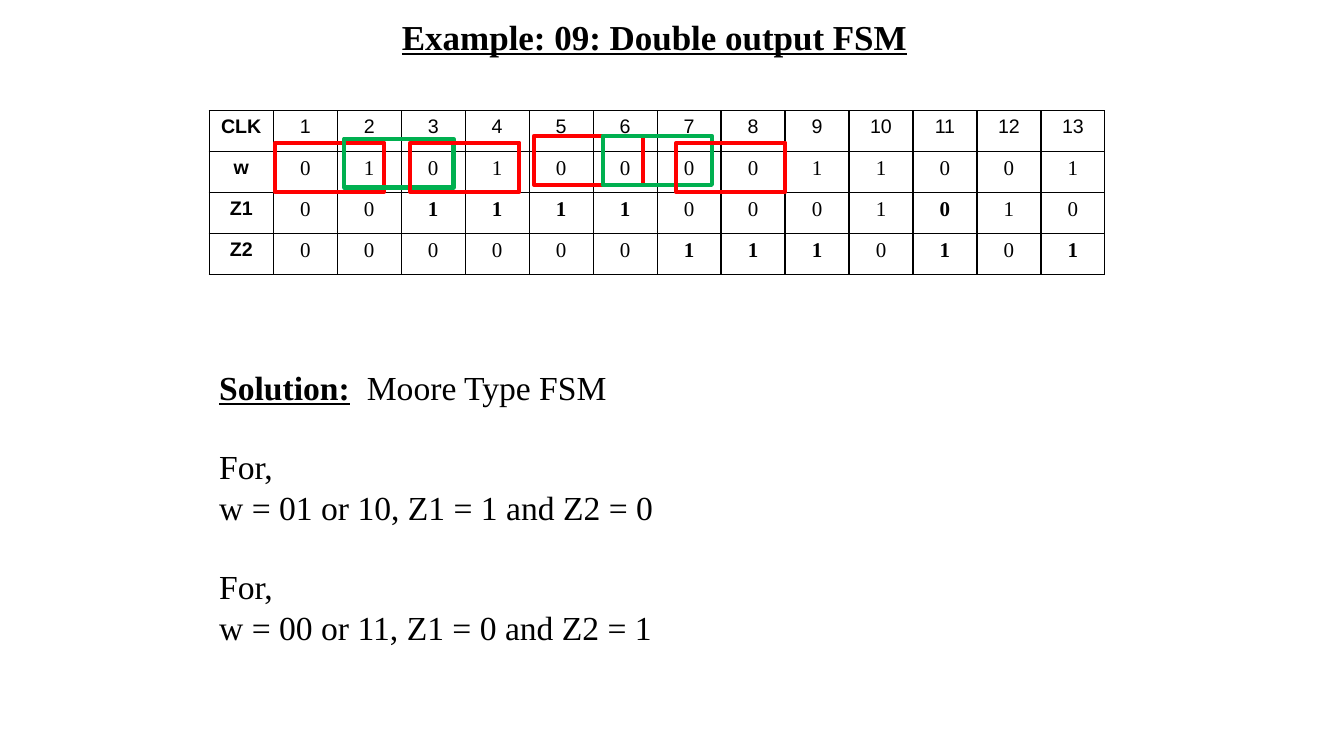
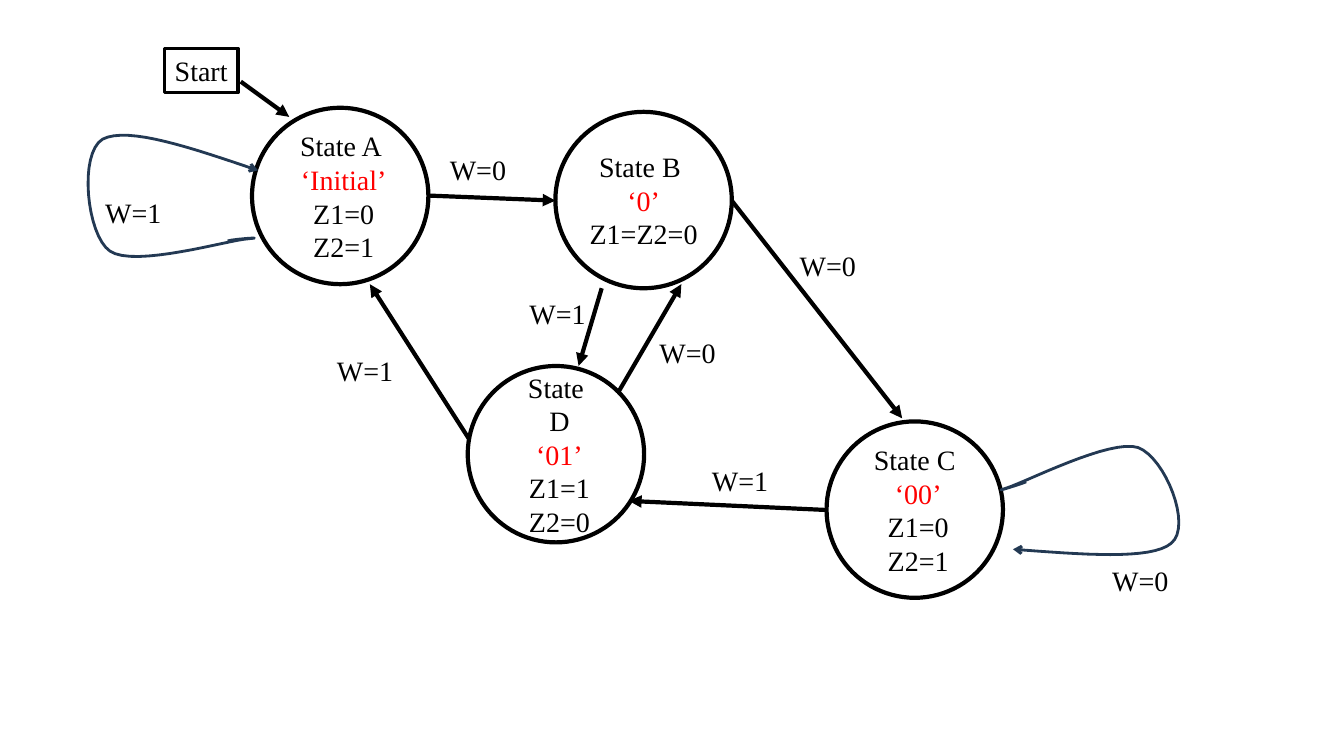
from lxml.etree import SubElement
from pptx import Presentation
from pptx.dml.color import RGBColor
from pptx.enum.shapes import MSO_CONNECTOR as Link, MSO_SHAPE as Kind
from pptx.enum.text import MSO_ANCHOR as Anchor, PP_ALIGN as Align
from pptx.oxml.ns import qn
from pptx.util import Pt

BLACK = RGBColor(0, 0, 0)
RED = RGBColor(0xFF, 0, 0)
GREEN = RGBColor(0, 0xB0, 0x50)
NAVY = RGBColor(0x23, 0x39, 0x53)
SERIF, SANS = "Times New Roman", "Arial"

HEADS = ["CLK", "w", "Z1", "Z2"]
BITS = [
    [str(n) for n in range(1, 14)],
    "0101000011001",
    "0011110001010",
    "0000001110101",
]
BOLD = {2: {3, 4, 5, 6, 11}, 3: {7, 8, 9, 11, 13}}
MARKS = [
    (47, 23, RED), (96.5, 20, GREEN), (143.5, 23, RED),
    (232, 18, RED), (281, 18, GREEN), (333.5, 23, RED),
]

SIDE = 126
# left, top, shift of the text, name lines, code, output lines
STATES = [
    (120, 47, 2.5, ["State A "], "‘Initial’", ["Z1=0", "Z2=1"]),
    (336.7, 49.9, 0, ["State B "], "‘0’", ["Z1=Z2=0"]),
    (530.4, 271, 2.5, ["State C "], "‘00’", ["Z1=0", "Z2=1"]),
    (274.1, 231.4, 2.5, ["State ", "D"], "‘01’", ["Z1=1", "Z2=0"]),
]
ARROWS = [
    (112, 28.3, 146.6, 53.5),
    (246, 109.7, 336.7, 113.3),
    (462.7, 113.3, 584.4, 268.8),
    (369.8, 175.9, 353.3, 231.4),
    (382.1, 249.4, 426.7, 173),
    (530.4, 334.3, 389.3, 327.8),
    (274.8, 283.2, 204.2, 173),
]
INPUTS = [
    ("W=0", 253.9, 75.1), ("W=0", 503.8, 143.5), ("W=1", 310.8, 178.1),
    ("W=0", 403.7, 205.4), ("W=1", 441.1, 296.9), ("W=1", 173.3, 218.4),
    ("W=1", 7.7, 105.4), ("W=0", 727, 368.2),
]
# a start point, then three Bézier points for each curve
LOOPS = [
    [(124.3, 91.7), (77.5, 75.8), (31.4, 60), (13.4, 69.4),
     (-3.8, 79.4), (1.9, 137.8), (18.5, 149.3),
     (35.8, 161.5), (103.4, 141.4), (117.1, 140.6),
     (131.5, 139.2), (107.8, 140.6), (102.7, 142.1)],
    [(663.6, 362.4), (712.6, 366), (762.2, 370.3), (776.6, 358.1),
     (791.8, 345.8), (772.3, 296.9), (752.9, 289.7),
     (733.4, 283.2), (673, 314.2), (659.3, 318.5),
     (646.3, 322.8), (667.9, 316.3), (673, 314.2)],
]


def write(frame, lines, size=20, font=SERIF, color=BLACK, bold=False,
          line=False, align=Align.CENTER):
    """Fill a frame; each line is a string or a list of (text, format) runs."""
    for i, runs in enumerate(lines):
        para = frame.paragraphs[0] if i == 0 else frame.add_paragraph()
        para.alignment = align
        for words, own in [(runs, {})] if isinstance(runs, str) else runs:
            run = para.add_run()
            run.text = words
            face = run.font
            face.name, face.size = font, Pt(size)
            face.bold = own.get("bold", bold)
            face.underline = own.get("line", line)
            face.color.rgb = own.get("color", color)


def label(slide, x, y, w, h, lines, wrap=False, anchor=Anchor.MIDDLE,
          inset=0, **fmt):
    frame = slide.shapes.add_textbox(Pt(x), Pt(y), Pt(w), Pt(h)).text_frame
    frame.word_wrap = wrap
    frame.vertical_anchor = anchor
    frame.margin_left = frame.margin_right = Pt(inset)
    frame.margin_top = frame.margin_bottom = Pt(inset / 2)
    write(frame, lines, **fmt)
    return frame


def outline(slide, kind, x, y, w, h, color=BLACK, width=3):
    shape = slide.shapes.add_shape(kind, Pt(x), Pt(y), Pt(w), Pt(h))
    shape.shadow.inherit = False
    shape.fill.background()
    shape.line.color.rgb = color
    shape.line.width = Pt(width)


def tip(shape, end, kind):
    SubElement(shape.line._get_or_add_ln(), qn("a:" + end), type=kind)


def arrow(slide, x1, y1, x2, y2):
    link = slide.shapes.add_connector(
        Link.STRAIGHT, Pt(x1), Pt(y1), Pt(x2), Pt(y2))
    link.line.color.rgb = BLACK
    link.line.width = Pt(3)
    tip(link, "tailEnd", "triangle")
    SubElement(link._element.spPr, qn("a:effectLst"))


def trace(knots, steps=16):
    """Return points along the joined cubic curves, after the first knot."""
    points = []
    for i in range(0, len(knots) - 1, 3):
        for n in range(1, steps + 1):
            t = n / steps
            u = 1 - t
            parts = (u ** 3, 3 * u * u * t, 3 * u * t * t, t ** 3)
            points.append(tuple(
                sum(k * p[axis] for k, p in zip(parts, knots[i:i + 4]))
                for axis in (0, 1)))
    return points


def loop(slide, x, y, knots):
    def place(point):
        return Pt(x + point[0]), Pt(y + point[1])

    pen = slide.shapes.build_freeform(*place(knots[0]))
    pen.add_line_segments([place(p) for p in trace(knots)], close=False)
    shape = pen.convert_to_shape()
    shape.shadow.inherit = False
    shape.fill.background()
    shape.line.color.rgb = NAVY
    shape.line.width = Pt(2)
    tip(shape, "headEnd", "arrow")


def border(cell):
    cell.fill.background()
    props = cell._tc.get_or_add_tcPr()
    for i, side in enumerate(("lnL", "lnR", "lnT", "lnB")):
        edge = SubElement(props, qn("a:" + side), w=str(Pt(1)))
        fill = SubElement(edge, qn("a:solidFill"))
        SubElement(fill, qn("a:srgbClr"), val=str(BLACK))
        props.insert(i, edge)


def timing(slide, x, y, w, h):
    """Draw the signal table and the marks over its pairs of bits."""
    rows, cols = len(HEADS), len(BITS[0]) + 1
    table = slide.shapes.add_table(
        rows, cols, Pt(x), Pt(y), Pt(w), Pt(h)).table
    table.first_row = table.horz_banding = False
    for col in table.columns:
        col.width = Pt(w / cols)
    for r, (head, bits) in enumerate(zip(HEADS, BITS)):
        table.rows[r].height = Pt(h / rows)
        for c, words in enumerate([head, *bits]):
            cell = table.cell(r, c)
            cell.margin_left = cell.margin_right = Pt(5)
            border(cell)
            sans = r == 0 or c == 0
            write(cell.text_frame, [words], size=14 if sans else 15,
                  font=SANS if sans else SERIF,
                  bold=c == 0 or c in BOLD.get(r, ()))
    for dx, dy, color in MARKS:
        outline(slide, Kind.RECTANGLE, x + dx, y + dy, 78, 35, color)


def answer(slide, x, y, w, h):
    frame = label(
        slide, x, y, w, h,
        [[("Solution:", {"bold": True, "line": True}),
          ("\tMoore Type FSM", {})],
         "For,", "w = 01 or 10, Z1 = 1 and Z2 = 0",
         "For,", "w = 00 or 11, Z1 = 0 and Z2 = 1"],
        wrap=True, anchor=Anchor.TOP, inset=7.2, size=24, align=Align.LEFT)
    first = frame.paragraphs[0]._p.get_or_add_pPr()
    stops = SubElement(first, qn("a:tabLst"))
    SubElement(stops, qn("a:tab"), pos=str(Pt(105.5)), algn="l")
    for i in (1, 3):
        frame.paragraphs[i].space_before = Pt(28)


def diagram(slide, x, y):
    """Draw the states, their links and the inputs from a top left corner."""
    outline(slide, Kind.RECTANGLE, x + 57.4, y + 4.6, 52.6, 31.7, width=2.25)
    label(slide, x + 57.4, y + 4.6, 52.6, 31.7, ["Start"])
    for dx, dy, shift, name, code, outs in STATES:
        left, top = x + dx, y + dy
        outline(slide, Kind.OVAL, left, top, SIDE, SIDE)
        label(slide, left + shift, top, SIDE, SIDE,
              [*name, [(code, {"color": RED})], *outs])
    for x1, y1, x2, y2 in ARROWS:
        arrow(slide, x + x1, y + y1, x + x2, y + y2)
    for knots in LOOPS:
        loop(slide, x, y, knots)
    for words, dx, dy in INPUTS:
        label(slide, x + dx, y + dy, 55, 32, [words])


def main():
    deck = Presentation()
    deck.slide_width, deck.slide_height = Pt(960), Pt(540)
    blank = deck.slide_layouts[6]

    table = deck.slides.add_slide(blank)
    timing(table, 149.5, 79, 640, 117)
    label(table, 280, 7.2, 400, 37.5, ["Example: 09: Double output FSM"],
          wrap=True, anchor=Anchor.TOP, inset=7.2, size=25, bold=True,
          line=True, align=Align.LEFT)
    answer(table, 149.5, 258.5, 360, 211)

    diagram(deck.slides.add_slide(blank), 60, 30)
    deck.save("out.pptx")


if __name__ == "__main__":
    main()
